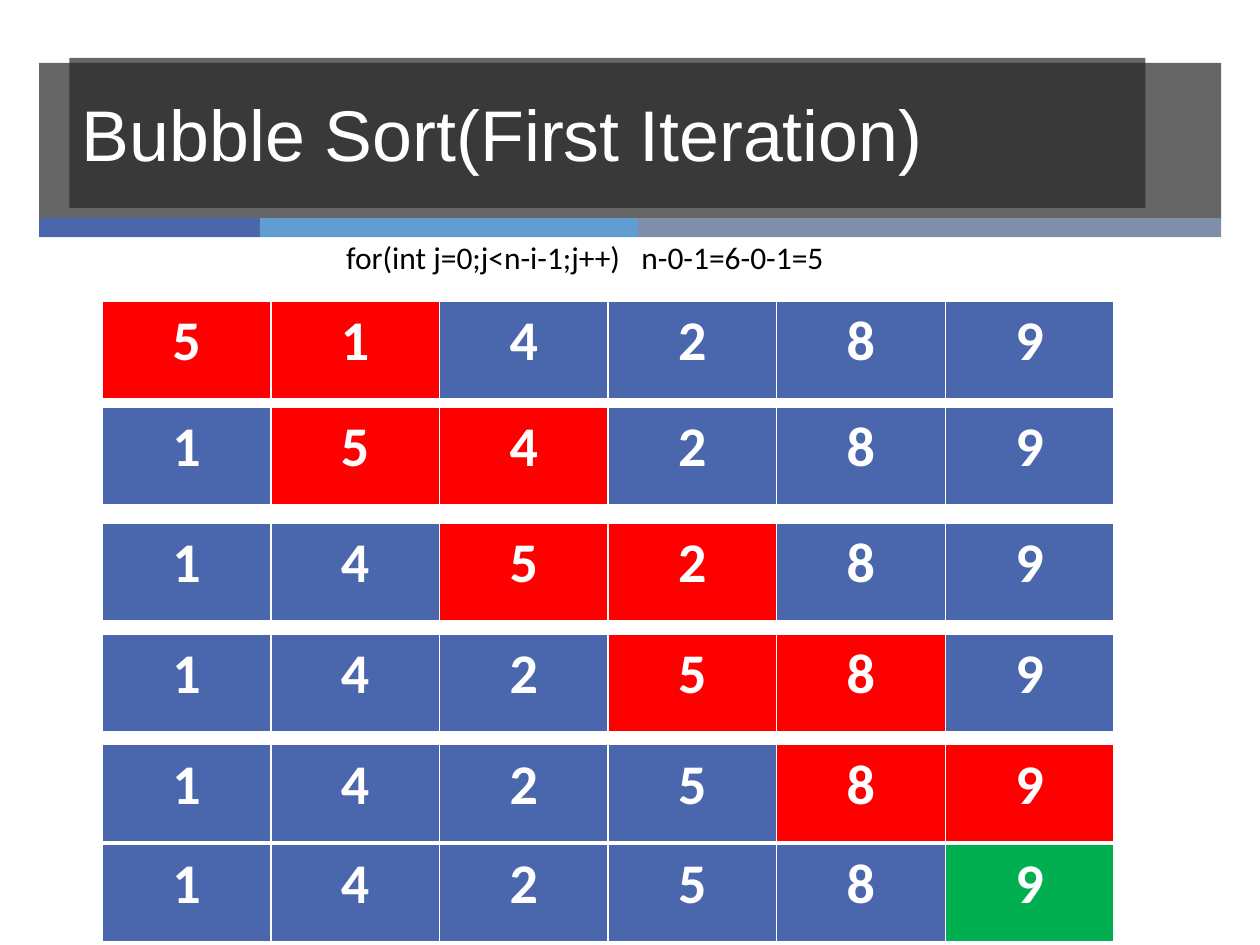
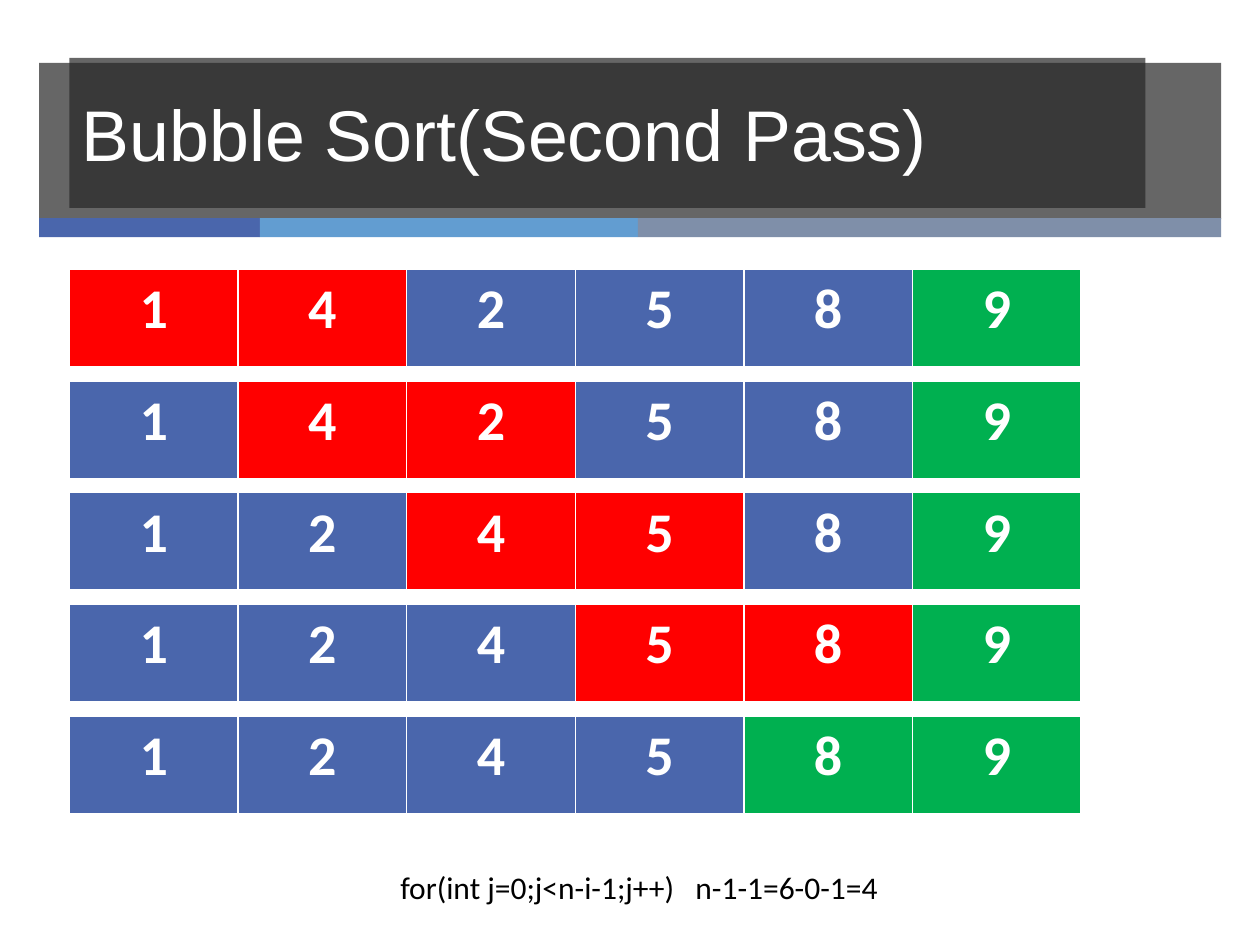
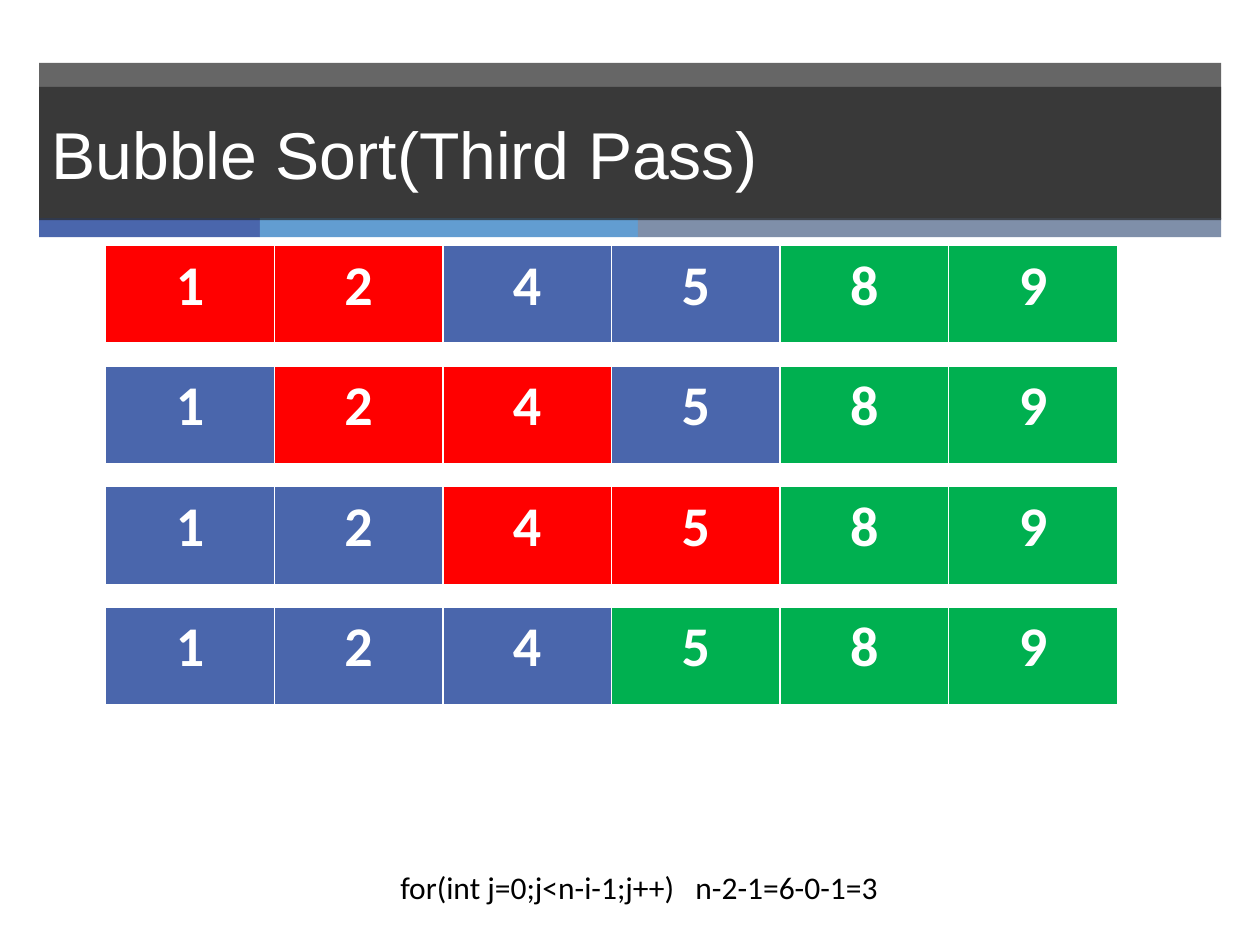
import pptx
import pptx.dml.color
import pptx.enum.shapes
import pptx.enum.text
import pptx.oxml
import pptx.oxml.ns
import pptx.util

Cm = pptx.util.Cm
Pt = pptx.util.Pt
ALIGN = pptx.enum.text.PP_ALIGN
ANCHOR = pptx.enum.text.MSO_ANCHOR

COLORS = {
    "waiting": "4A66AC",
    "compared": "FF0000",
    "sorted": "00B050",
    "band": "262626",
    "strip_left": "4A66AC",
    "strip_middle": "629DD1",
    "strip_right": "7F8FA9",
    "light": "FFFFFF",
    "dark": "000000",
}

# Text formats
TITLE = {"name": "Arial", "size": Pt(41), "color": "light"}
SMALL_TITLE = {**TITLE, "size": Pt(37.8)}
NUMBER = {"name": "Calibri", "size": Pt(32), "bold": True, "color": "light"}
LOOP = {"name": "Calibri", "size": Pt(18), "color": "dark"}

# Shared measures in centimetres
BAND_BOX = (0.79, 1.27, 23.83, 3.15)
TITLE_BOX = (1.4, 1.17, 21.69, 3.02)
WIDE_TITLE_BOX = (0.79, 1.75, 23.83, 2.69)
STRIP_TOP, STRIP_HEIGHT = 4.4, 0.38
STRIP_PARTS = (("strip_left", 4.45), ("strip_middle", 7.62), ("strip_right", 11.76))
CELL_WIDTH, CELL_HEIGHT = 3.4, 2
LOOP_WIDTH, LOOP_HEIGHT, LOOP_TAB = 12.7, 1.02, 5.95
BORDERS = {"lnL": 1, "lnR": 1, "lnT": 1, "lnB": 3}

NUMBERS = [5, 1, 4, 2, 8, 9]

# One entry for each pass of the sort
PASSES = [
    {
        "title": "Bubble Sort(First Iteration)",
        "title_box": TITLE_BOX,
        "title_format": TITLE,
        "left": 2.06,
        "tops": [6.07, 8.2, 10.54, 12.78, 15.01, 17.02],
        "limit": "n-0-1=6-0-1=5",
        "loop_at": (6.73, 4.67),
    },
    {
        "title": "Bubble Sort(Second Pass)",
        "title_box": TITLE_BOX,
        "title_format": TITLE,
        "left": 1.4,
        "tops": [5.43 + 2.25 * row for row in range(5)],
        "limit": "n-1-1=6-0-1=4",
        "loop_at": (7.82, 17.37),
    },
    {
        "title": "Bubble Sort(Third Pass)",
        "title_box": WIDE_TITLE_BOX,
        "title_format": SMALL_TITLE,
        "left": 2.13,
        "tops": [4.95 + 2.43 * row for row in range(4)],
        "limit": "n-2-1=6-0-1=3",
        "loop_at": (7.82, 17.37),
    },
]


def rgb(name):
    return pptx.dml.color.RGBColor.from_string(COLORS[name])


def write(paragraph, text, text_format):
    """Add one run and apply its format values."""
    run = paragraph.add_run()
    run.text = text
    for key, value in text_format.items():
        if key == "color":
            run.font.color.rgb = rgb(value)
        else:
            setattr(run.font, key, value)


def add_bar(slide, box, color, opacity=100):
    shape = slide.shapes.add_shape(
        pptx.enum.shapes.MSO_SHAPE.RECTANGLE, *(Cm(length) for length in box))
    shape.shadow.inherit = False
    shape.line.fill.background()
    shape.fill.solid()
    shape.fill.fore_color.rgb = rgb(color)
    if opacity < 100:
        color_element = shape._element.spPr.find(".//" + pptx.oxml.ns.qn("a:srgbClr"))
        color_element.append(pptx.oxml.parse_xml(
            f'<a:alpha {pptx.oxml.ns.nsdecls("a")} val="{opacity * 1000}"/>'))
    return shape


def add_header(slide, title, box, text_format):
    # Band and coloured strip
    add_bar(slide, BAND_BOX, "band", 70)
    left = BAND_BOX[0]
    for color, width in STRIP_PARTS:
        add_bar(slide, (left, STRIP_TOP, width, STRIP_HEIGHT), color)
        left += width

    # Title plate
    frame = add_bar(slide, box, "band", 70).text_frame
    frame.word_wrap = True
    frame.vertical_anchor = ANCHOR.MIDDLE
    paragraph = frame.paragraphs[0]
    paragraph.alignment = ALIGN.LEFT
    write(paragraph, title, text_format)


def add_borders(cell):
    properties = cell._tc.get_or_add_tcPr()
    for tag, width in BORDERS.items():
        properties.append(pptx.oxml.parse_xml(
            f'<a:{tag} {pptx.oxml.ns.nsdecls("a")} w="{Pt(width)}"><a:solidFill>'
            f'<a:srgbClr val="{COLORS["light"]}"/></a:solidFill></a:{tag}>'))


def add_array(slide, left, top, numbers, states):
    table = slide.shapes.add_table(
        1, len(numbers), Cm(left), Cm(top),
        Cm(CELL_WIDTH * len(numbers)), Cm(CELL_HEIGHT)).table
    table.first_row = False
    table.horz_banding = False
    for cell, number, state in zip(table.iter_cells(), numbers, states):
        add_borders(cell)
        cell.fill.solid()
        cell.fill.fore_color.rgb = rgb(state)
        paragraph = cell.text_frame.paragraphs[0]
        paragraph.alignment = ALIGN.CENTER
        write(paragraph, str(number), NUMBER)


def add_loop(slide, position, limit):
    """Show the loop header, with its limit at a tab stop."""
    left, top = position
    frame = slide.shapes.add_textbox(
        Cm(left), Cm(top), Cm(LOOP_WIDTH), Cm(LOOP_HEIGHT)).text_frame
    frame.word_wrap = True
    paragraph = frame.paragraphs[0]
    paragraph._p.get_or_add_pPr().append(pptx.oxml.parse_xml(
        f'<a:tabLst {pptx.oxml.ns.nsdecls("a")}>'
        f'<a:tab pos="{Cm(LOOP_TAB)}" algn="l"/></a:tabLst>'))
    write(paragraph, f"for(int j=0;j<n-i-1;j++)\t{limit}", LOOP)


def bubble_pass(numbers, done):
    """Sort in place, yielding the numbers and cell states of each step."""
    last = len(numbers) - done - 1
    for j in range(last):
        states = ["waiting"] * (last + 1) + ["sorted"] * done
        states[j:j + 2] = ["compared"] * 2
        yield list(numbers), states
        if numbers[j] > numbers[j + 1]:
            numbers[j], numbers[j + 1] = numbers[j + 1], numbers[j]
    yield list(numbers), ["waiting"] * last + ["sorted"] * (done + 1)


def main():
    presentation = pptx.Presentation()
    presentation.slide_width = Cm(25.4)
    presentation.slide_height = Cm(19.05)
    numbers = list(NUMBERS)
    for done, content in enumerate(PASSES):
        slide = presentation.slides.add_slide(presentation.slide_layouts[6])
        add_header(slide, content["title"], content["title_box"], content["title_format"])
        for top, (values, states) in zip(content["tops"], bubble_pass(numbers, done)):
            add_array(slide, content["left"], top, values, states)
        add_loop(slide, content["loop_at"], content["limit"])
    presentation.save("out.pptx")


if __name__ == "__main__":
    main()
